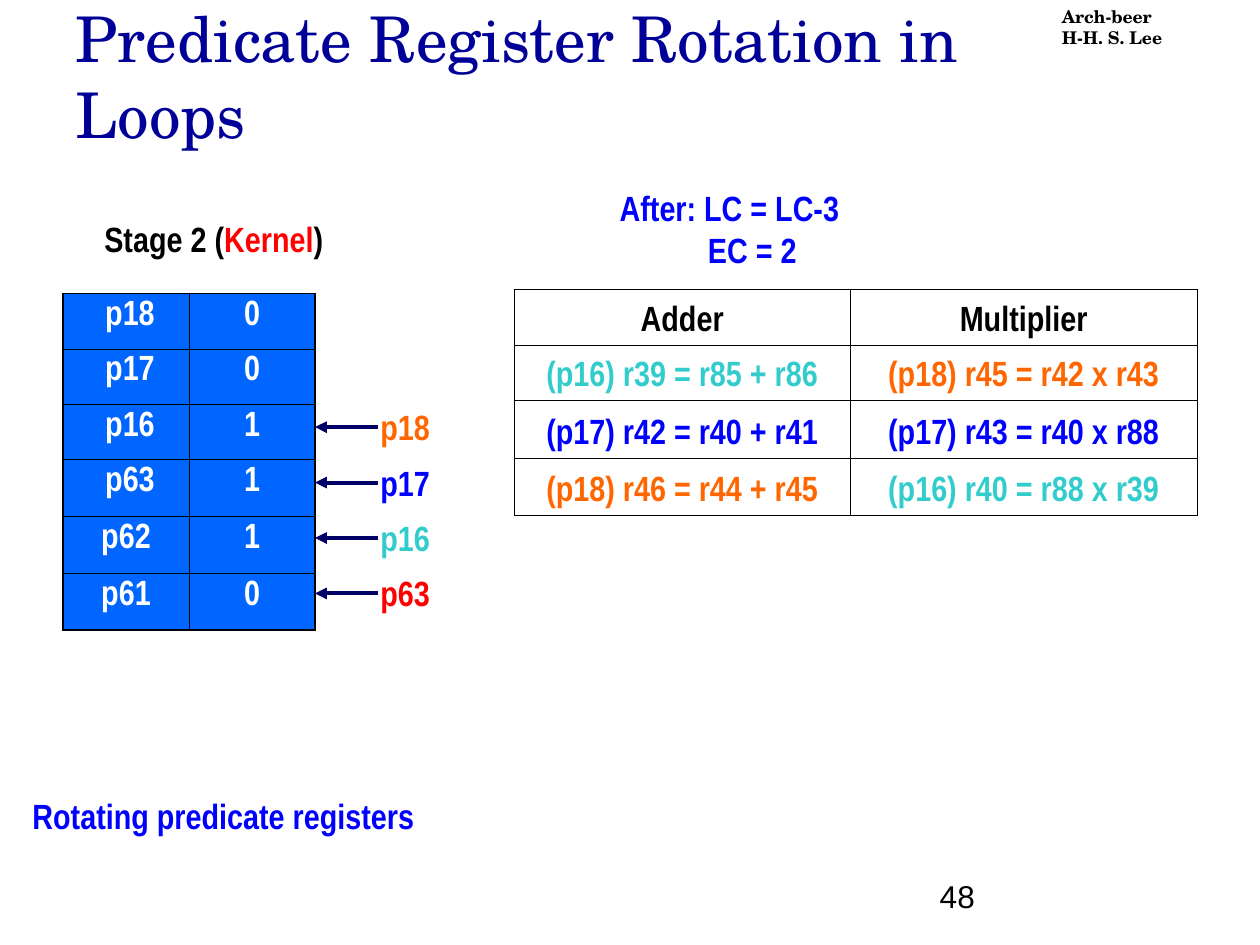
from lxml import etree
from pptx import Presentation
from pptx import util as u
from pptx.dml import color
from pptx.enum import shapes, text
from pptx.oxml import ns

BLACK, WHITE, BLUE, RED = "000000", "FFFFFF", "0000FF", "FF0000"
ORANGE, TEAL, NAVY, CELL_BLUE = "FF6600", "33CCCC", "000066", "0066FF"
LABEL = {"name": "Arial Narrow", "size": u.Pt(20), "bold": True}
HEADER = {"name": "TeX Gyre Schola", "size": u.Pt(10), "bold": True}
TITLE = {"name": "TeX Gyre Schola", "size": u.Pt(36), "bold": False}
NUMBER = {"name": "Arial", "size": u.Pt(18), "bold": False}


def rgb(value):
    return color.RGBColor.from_string(value)


def write(frame, lines, font_format, paragraph_format={}):
    for index, line in enumerate(lines):
        paragraph = frame.paragraphs[0] if index == 0 else frame.add_paragraph()
        for name, value in paragraph_format.items():
            setattr(paragraph, name, value)
        for words, ink in line:
            run = paragraph.add_run()
            run.text = words
            run.font.color.rgb = rgb(ink)
            for name, value in font_format.items():
                setattr(run.font, name, value)


presentation = Presentation()
presentation.slide_width, presentation.slide_height = u.Inches(10), u.Inches(7.5)
slide = presentation.slides.add_slide(presentation.slide_layouts[5])

title = slide.shapes.title
title_box = {"left": 0.5, "top": 0.33, "width": 8.5, "height": 0.92}
for name, value in title_box.items():
    setattr(title, name, u.Inches(value))
title_format = {"word_wrap": True, "auto_size": text.MSO_AUTO_SIZE.NONE,
                "vertical_anchor": text.MSO_ANCHOR.BOTTOM}
for name, value in title_format.items():
    setattr(title.text_frame, name, value)
write(title.text_frame, [[("Predicate Register Rotation in Loops", "000099")]],
      TITLE, {"alignment": text.PP_ALIGN.LEFT})

operations = [
    [("Adder", BLACK), ("Multiplier", BLACK)],
    [("(p16) r39 = r85 + r86", TEAL), ("(p18) r45 = r42 x r43", ORANGE)],
    [("(p17) r42 = r40 + r41", BLUE), ("(p17) r43 = r40 x r88", BLUE)],
    [("(p18) r46 = r44 + r45", ORANGE), ("(p16) r40 = r88 x r39", TEAL)],
]
predicates = [
    [(register, WHITE), (bit, WHITE)]
    for register, bit in zip([" p18", " p17", " p16", " p63", "p62", "p61"], "001110")
]
centered = {"alignment": text.PP_ALIGN.CENTER}
spaced = {"alignment": text.PP_ALIGN.CENTER, "space_before": u.Pt(5)}
tables = [
    (operations, 4.08, 2.3, [2.67, 2.75], [0.44, 0.44, 0.46, 0.45],
     None, 0.45, text.MSO_ANCHOR.BOTTOM, centered),
    (predicates, 0.5, 2.33, [1, 1], [0.44] * 3 + [0.45] * 3,
     CELL_BLUE, 1.08, text.MSO_ANCHOR.TOP, spaced),
]
for rows, left, top, widths, heights, fill, outer, anchor, paragraph_format in tables:
    table = slide.shapes.add_table(
        len(rows), len(widths), u.Inches(left), u.Inches(top),
        u.Inches(sum(widths)), u.Inches(sum(heights))).table
    table.first_row = table.horz_banding = False
    for column, width in zip(table.columns, widths):
        column.width = u.Inches(width)
    for row, height in zip(table.rows, heights):
        row.height = u.Inches(height)
    for i, row in enumerate(rows):
        for j, content in enumerate(row):
            cell = table.cell(i, j)
            cell.vertical_anchor = anchor
            properties = cell._tc.get_or_add_tcPr()
            edges = {"L": j == 0, "R": j == len(widths) - 1,
                     "T": i == 0, "B": i == len(rows) - 1}
            for side, is_outer in edges.items():
                border = etree.SubElement(properties, ns.qn(f"a:ln{side}"))
                border.set("w", str(u.Pt(outer if is_outer else 0.45)))
                solid = etree.SubElement(border, ns.qn("a:solidFill"))
                etree.SubElement(solid, ns.qn("a:srgbClr")).set("val", BLACK)
            if fill:
                cell.fill.solid()
                cell.fill.fore_color.rgb = rgb(fill)
            else:
                cell.fill.background()
            write(cell.text_frame, [[content]], LABEL, paragraph_format)

boxes = [
    (8.33, 0, 1.67, 0.44, [[("Arch-beer", BLACK)], [("H-H. S. Lee", BLACK)]], HEADER),
    (0.73, 1.68, 1.94, 0.44,
     [[("Stage 2 (", BLACK), ("Kernel", RED), (")", BLACK)]], LABEL),
    (4.82, 1.43, 1.94, 0.77,
     [[("After: LC = LC-3", BLUE)], [("EC = 2", BLUE)]], LABEL),
    (0.16, 6.26, 3.23, 0.44, [[("Rotating predicate registers", BLUE)]], LABEL),
    (7.36, 6.81, 2.08, 0.5, [[("48", BLACK)]], NUMBER),
]

pointers = [("p18", ORANGE), ("p17", BLUE), ("p16", TEAL), ("p63", RED)]
for index, pointer in enumerate(pointers):
    top = 3.17 + 0.44 * index
    boxes.append((2.92, top, 0.59, 0.44, [[pointer]], LABEL))
    arrow = slide.shapes.add_connector(
        shapes.MSO_CONNECTOR.STRAIGHT, u.Inches(3), u.Inches(top + 0.22),
        u.Inches(2.5), u.Inches(top + 0.22))
    arrow.line.color.rgb = rgb(NAVY)
    arrow.line.width = u.Pt(2.25)
    etree.SubElement(arrow.line._get_or_add_ln(), ns.qn("a:tailEnd")).set("type", "triangle")
    etree.SubElement(arrow._element.spPr, ns.qn("a:effectLst"))

for left, top, width, height, lines, font_format in boxes:
    box = slide.shapes.add_textbox(*map(u.Inches, (left, top, width, height)))
    frame = box.text_frame
    frame.word_wrap = font_format is not LABEL
    if font_format is NUMBER:
        frame.vertical_anchor = text.MSO_ANCHOR.BOTTOM
    write(frame, lines, font_format)
    if lines[-1][0][0] == "EC = 2":
        frame.paragraphs[-1]._p.get_or_add_pPr().set("marL", str(u.Inches(0.7)))

presentation.save("out.pptx")
